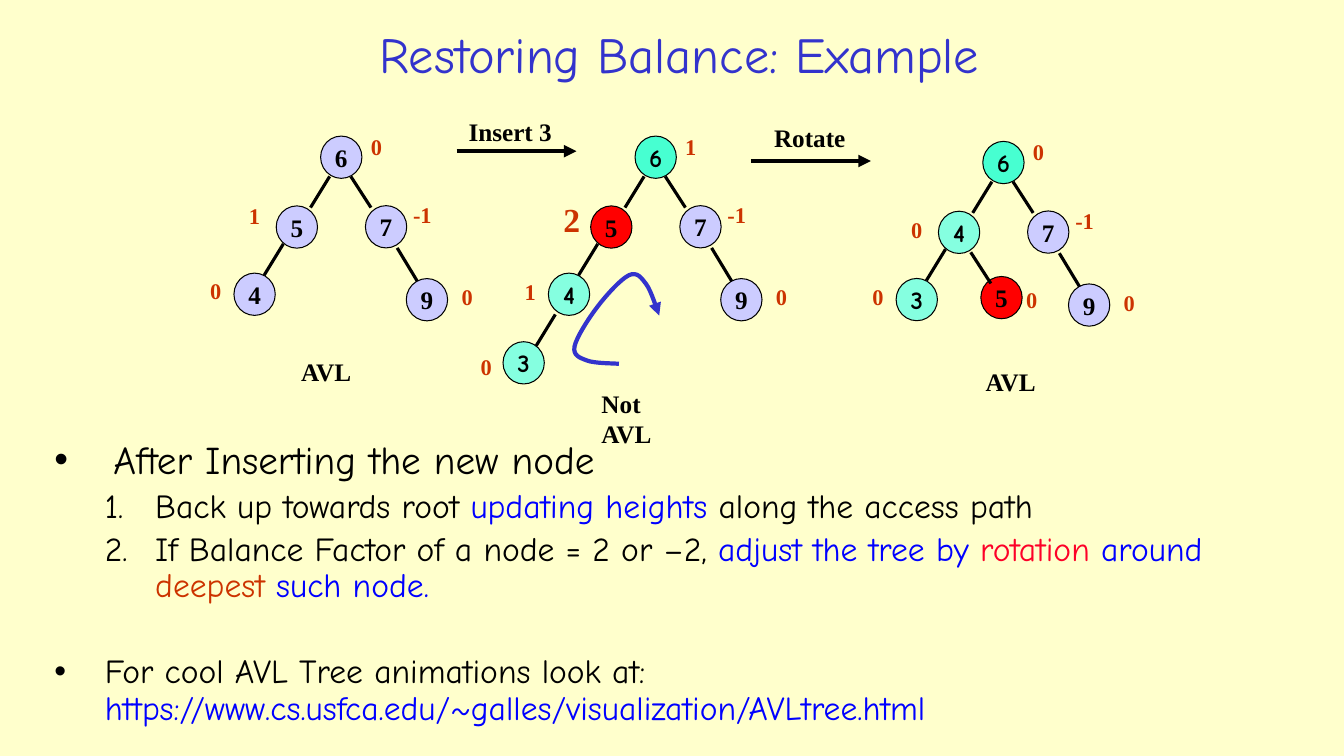
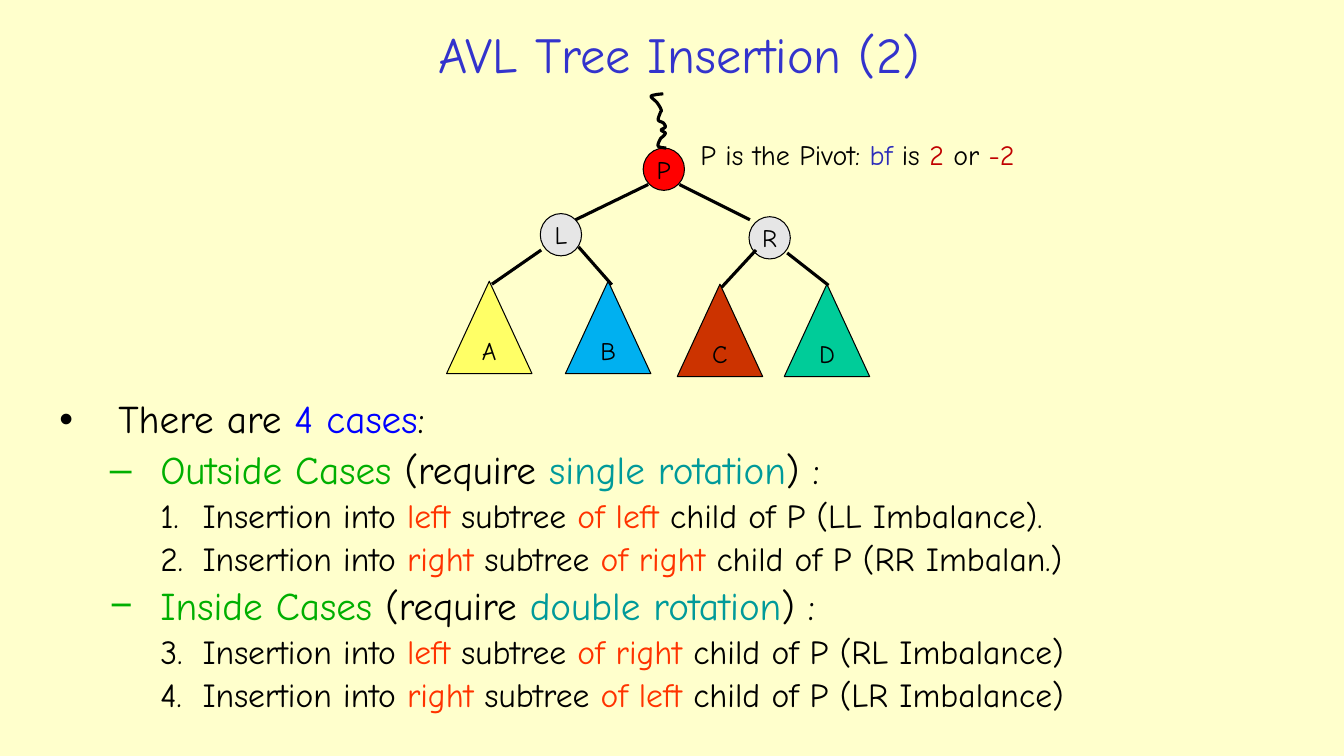
from pptx import Presentation
from pptx.dml.color import RGBColor
from pptx.enum import shapes, text
from pptx.oxml.ns import qn
from pptx.util import Pt
from lxml import etree

# Shared look
COMIC, TIMES = "Comic Neue", "Times New Roman"
CREAM = RGBColor(0xFF, 0xFF, 0xCC)
INDIGO = RGBColor(0x33, 0x33, 0xCC)
BLACK = RGBColor(0, 0, 0)
BLUE = RGBColor(0, 0, 0xFF)
CRIMSON = RGBColor(0xFD, 0x01, 0x28)
RUST = RGBColor(0xCC, 0x33, 0)
ORANGE = RGBColor(0xFF, 0x33, 0)
GREEN = RGBColor(0, 0xAF, 0)
TEAL = RGBColor(0, 0x9A, 0x9A)
NAVY = RGBColor(0x2D, 0x2D, 0xB9)
MAROON = RGBColor(0xC0, 0, 0)
RED = RGBColor(0xFF, 0, 0)
LAVENDER = RGBColor(0xCC, 0xCC, 0xFF)
MINT = RGBColor(0x47, 0xFF, 0xD1)
AQUA = RGBColor(0x85, 0xFF, 0xE0)
GREY = RGBColor(0xE6, 0xE6, 0xE6)
YELLOW = RGBColor(0xFF, 0xFF, 0x66)
SKY = RGBColor(0, 0xB0, 0xF0)
JADE = RGBColor(0, 0xCC, 0x99)

TITLE_BOX = (141.8, 10.8, 686.9, 54.7)
NODE_SIZE = (29.5, 30.2)
TRIANGLE_SIZE = (61, 66)

# Tree geometry, measured from the root's top left corner:
# slot: (node offset, balance factor offset, edge from the parent)
SLOTS = {
    "root": ((0, 0), (28.8, -5.8), None),
    "L": ((-31.7, 49.9), (-58.3, 43.6), (6.5, 28.8, -7.2, 51.1)),
    "R": ((32, 49.7), (59, 43.2), (21.6, 28.8, 36, 51.1)),
    "LL": ((-61.9, 97.9), (-86, 97.9), (-26.6, 77, -40.3, 99.4)),
    "LR": ((-1.4, 96.5), (23.8, 100), (-8.6, 79.2, 5.8, 101.5)),
    "RR": ((61.2, 101.8), (93.6, 101.8), (54.7, 79.9, 69.1, 103.7)),
    "LLL": ((-94.3, 146.9), (-117.4, 151.2), (-56.9, 127.4, -70.6, 149.8)),
}

# Root corner, then nodes: slot, key, balance factor, fill, font, label drop
TREES = [
    ((229, 97.2), [
        ("root", "6", "0", LAVENDER, TIMES, 0),
        ("L", "5", "1", LAVENDER, TIMES, 0),
        ("LL", "4", "0", LAVENDER, TIMES, -1),
        ("R", "7", "-1", LAVENDER, TIMES, 0),
        ("RR", "9", "0", LAVENDER, TIMES, 0)]),
    ((453.6, 97.2), [
        ("root", "6", "1", MINT, COMIC, 0),
        ("L", "5", "2", RED, TIMES, -2),
        ("LL", "4", "1", AQUA, COMIC, 0),
        ("R", "7", "-1", LAVENDER, TIMES, 0),
        ("RR", "9", "0", LAVENDER, TIMES, 0),
        ("LLL", "3", "0", AQUA, COMIC, 0)]),
    ((702, 101), [
        ("root", "6", "0", MINT, COMIC, 0),
        ("L", "4", "0", AQUA, COMIC, 6),
        ("LL", "3", "0", AQUA, COMIC, 0),
        ("R", "7", "-1", LAVENDER, TIMES, 0),
        ("RR", "9", "0", LAVENDER, TIMES, 0),
        ("LR", "5", "0", RED, TIMES, 0)]),
]
CAPTIONS = [
    ("Insert 3", 327.6, 79.9, 74.9), ("Rotate", 545.8, 83.5, 66.2),
    ("AVL", 208.1, 251.3, 50.4), ("Not AVL", 422.6, 273.6, 80),
    ("AVL", 697, 257.8, 50.4),
]
STEP_ARROWS = [(326.2, 108, 411.8, 108), (536.4, 115, 622.1, 115)]
ROTATION_ARC = [(442.1, 259.9), (419.5, 257.6), (410.4, 247.7), (426.6, 219.4),
                (449.3, 196.6), (461.7, 203.1), (470.9, 225.4)]

# Pivot diagram
PIVOT_NODES = [("P", 459.4, 105.8, RED), ("L", 385.9, 152.6, GREY),
               ("R", 535, 154.8, GREY)]
PIVOT_EDGES = [
    (463, 131.8, 411.1, 157), (485.3, 131.8, 535.7, 157),
    (562.3, 180.7, 591.8, 203.8), (386.6, 178.6, 351.4, 203),
    (413.3, 176.4, 437, 203.4), (540, 178.6, 515.5, 205.2),
]
SUBTREES = [("A", 319, 200.9, YELLOW), ("B", 403.9, 200.9, SKY),
            ("C", 483.8, 203, RUST), ("D", 560.2, 203, JADE)]
SQUIGGLE = [(473.8, 67), (468, 67.7), (465.1, 69.1), (469.4, 73.4),
            (472.3, 78.5), (471.6, 80.6), (470.2, 85.7), (473.8, 87.8),
            (475.2, 90.7), (472.3, 92.9), (475.2, 95), (473.8, 97.2),
            (471.6, 99.4), (470.2, 104.4), (475.9, 105.8)]
PIVOT_NOTE = [("P is the Pivot: ", BLACK), ("bf", NAVY), (" is ", BLACK),
              ("2", MAROON), (" or ", BLACK), ("-2", MAROON)]

# List styles: level, left margin, hanging indent, size
HEAD = (0, 42, 42, 28)
LINK = (0, 36, 36, 24)
STEP = (1, 72, 36, 24)
GROUP = (1, 72, 36, 28)
CASE = (2, 102.2, 30.2, 24)


def case(first_side, second_side, ending):
    return [("Insertion into ", BLACK), (first_side + " ", ORANGE),
            ("subtree ", BLACK), (f"of {second_side} ", ORANGE),
            ("child of P " + ending, BLACK)]


def group(name, rotation):
    return [(name + " ", GREEN), ("(require ", BLACK),
            (rotation, TEAL), (") :", BLACK)]


# List items: style, bullet character or first number, space before, runs
BALANCE_LIST = [
    (HEAD, "•", 0, [("After Inserting the new node", BLACK)]),
    (STEP, 1, 4.8, [("Back up towards root ", BLACK),
                    ("updating heights ", BLUE),
                    ("along the access path", BLACK)]),
    (STEP, 1, 4.8, [("If Balance Factor of a node = 2 or –2, ", BLACK),
                    ("adjust the tree by ", BLUE), ("rotation ", CRIMSON),
                    ("around ", BLUE), ("deepest", RUST),
                    (" such node.", BLUE)]),
    (LINK, "•", 35.5, [
        ("For cool AVL Tree animations look at:", BLACK),
        (" https://www.cs.usfca.edu/~galles/visualization/AVLtree.html", BLUE)]),
]
CASES_LIST = [
    (HEAD, "•", 0, [("There are ", BLACK), ("4 cases", BLUE), (":", BLACK)]),
    (GROUP, "–", 5.6, group("Outside Cases", "single rotation")),
    (CASE, 1, 4.8, case("left", "left", "(LL Imbalance).")),
    (CASE, 1, 4.8, case("right", "right", "(RR Imbalan.)")),
    (GROUP, "−", 5.6, group("Inside Cases", "double rotation")),
    (CASE, 3, 4.8, case("left", "right", "(RL Imbalance)")),
    (CASE, 3, 4.8, case("right", "left", "(LR Imbalance)")),
]


# Text
def add_runs(paragraph, runs, size, font=COMIC, bold=False):
    for words, colour in runs:
        run = paragraph.add_run()
        run.text = words
        run.font.size = Pt(size)
        run.font.name = font
        run.font.bold = bold
        run.font.color.rgb = colour


def add_label(slide, left, top, width, runs, size, font=TIMES, bold=True):
    box = slide.shapes.add_textbox(Pt(left), Pt(top), Pt(width), Pt(size * 1.6))
    box.text_frame.word_wrap = False
    add_runs(box.text_frame.paragraphs[0], runs, size, font, bold)


def place(shape, left, top, width, height):
    shape.left, shape.top = Pt(left), Pt(top)
    shape.width, shape.height = Pt(width), Pt(height)


def add_slide(presentation, title, items, list_box):
    slide = presentation.slides.add_slide(presentation.slide_layouts[1])
    heading, body = slide.shapes.title, slide.placeholders[1]
    place(heading, *TITLE_BOX)
    place(body, *list_box)
    for shape, anchor in ((heading, text.MSO_ANCHOR.MIDDLE),
                          (body, text.MSO_ANCHOR.TOP)):
        shape.text_frame.auto_size = text.MSO_AUTO_SIZE.NONE
        shape.text_frame.vertical_anchor = anchor
    paragraph = heading.text_frame.paragraphs[0]
    paragraph.alignment = text.PP_ALIGN.CENTER
    add_runs(paragraph, [(title, INDIGO)], 36)

    frame = body.text_frame
    for index, (style, bullet, gap, runs) in enumerate(items):
        level, margin, hanging, size = style
        paragraph = frame.add_paragraph() if index else frame.paragraphs[0]
        paragraph.level = level
        properties = paragraph._p.get_or_add_pPr()
        properties.set("marL", str(Pt(margin)))
        properties.set("indent", str(-Pt(hanging)))
        if isinstance(bullet, int):
            etree.SubElement(properties, qn("a:buAutoNum"),
                             type="arabicPeriod", startAt=str(bullet))
        else:
            etree.SubElement(properties, qn("a:buChar"), char=bullet)
        paragraph.line_spacing = 0.9
        paragraph.space_before = Pt(gap)
        add_runs(paragraph, runs, size)
    return slide


# Shapes and lines
def add_figure(slide, kind, corner, size, fill, letter, font=COMIC, bold=False):
    shape = slide.shapes.add_shape(kind, *map(Pt, corner), *map(Pt, size))
    shape.shadow.inherit = False
    shape.fill.solid()
    shape.fill.fore_color.rgb = fill
    shape.line.color.rgb = BLACK
    shape.line.width = Pt(0.75)
    frame = shape.text_frame
    frame.word_wrap = False
    frame.margin_left = frame.margin_right = 0
    frame.margin_top = frame.margin_bottom = 0
    frame.vertical_anchor = text.MSO_ANCHOR.MIDDLE
    frame.paragraphs[0].alignment = text.PP_ALIGN.CENTER
    add_runs(frame.paragraphs[0], [(letter, BLACK)], 18, font, bold)


def style_line(shape, width, colour, arrow):
    shape.line.color.rgb = colour
    shape.line.width = Pt(width)
    properties = shape._element.spPr
    if arrow:
        etree.SubElement(properties.find(qn("a:ln")), qn("a:tailEnd"),
                         type="triangle")
    etree.SubElement(properties, qn("a:effectLst"))


def add_line(slide, ends, width=2.25, arrow=False):
    line = slide.shapes.add_connector(shapes.MSO_CONNECTOR.STRAIGHT,
                                      *map(Pt, ends))
    style_line(line, width, BLACK, arrow)


def smooth_points(knots, steps=8):
    """Points of a Catmull-Rom curve through the knots."""
    padded = [knots[0], *knots, knots[-1]]
    points = [knots[0]]
    for a, b, c, d in zip(padded, padded[1:], padded[2:], padded[3:]):
        for step in range(1, steps + 1):
            t = step / steps
            points.append(tuple(
                q + ((r - p) * t + (2 * p - 5 * q + 4 * r - s) * t ** 2
                     + (3 * q - p - 3 * r + s) * t ** 3) / 2
                for p, q, r, s in zip(a, b, c, d)))
    return points


def add_curve(slide, knots, width, colour, arrow=False):
    start, *rest = [(Pt(x), Pt(y)) for x, y in smooth_points(knots)]
    builder = slide.shapes.build_freeform(*start)
    builder.add_line_segments(rest, close=False)
    curve = builder.convert_to_shape()
    curve.fill.background()
    style_line(curve, width, colour, arrow)


def add_tree(slide, root, nodes):
    x, y = root
    for slot, key, factor, fill, font, drop in nodes:
        (node_x, node_y), (label_x, label_y), edge = SLOTS[slot]
        add_figure(slide, shapes.MSO_SHAPE.OVAL, (x + node_x, y + node_y),
                   NODE_SIZE, fill, key, font, True)
        if edge:
            x1, y1, x2, y2 = edge
            add_line(slide, (x + x1, y + y1, x + x2, y + y2))
        size = 24 if abs(int(factor)) > 1 else 16
        width = 14.4 + size * (0.83 if factor.startswith("-") else 0.5)
        add_label(slide, x + label_x, y + label_y + drop, width,
                  [(factor, RUST)], size)


def main():
    presentation = Presentation()
    presentation.slide_width, presentation.slide_height = Pt(960), Pt(540)
    background = presentation.slide_master.background.fill
    background.solid()
    background.fore_color.rgb = CREAM

    # Slide 1: insertion and rotation
    slide = add_slide(presentation, "Restoring Balance: Example", BALANCE_LIST,
                      (31.7, 311, 903.6, 179.3))
    for root, nodes in TREES:
        add_tree(slide, root, nodes)
    for words, left, top, width in CAPTIONS:
        add_label(slide, left, top, width, [(words, BLACK)], 18)
    for ends in STEP_ARROWS:
        add_line(slide, ends, 3, arrow=True)
    add_curve(slide, ROTATION_ARC, 3, INDIGO, arrow=True)

    # Slide 2: pivot and its subtrees
    slide = add_slide(presentation, "AVL Tree Insertion (2)", CASES_LIST,
                      (35.3, 282.2, 892.1, 227.5))
    for letter, left, top, fill in PIVOT_NODES:
        add_figure(slide, shapes.MSO_SHAPE.OVAL, (left, top), NODE_SIZE,
                   fill, letter)
    for letter, left, top, fill in SUBTREES:
        add_figure(slide, shapes.MSO_SHAPE.ISOSCELES_TRIANGLE, (left, top),
                   TRIANGLE_SIZE, fill, letter)
    for ends in PIVOT_EDGES:
        add_line(slide, ends)
    add_curve(slide, SQUIGGLE, 2.25, BLACK)
    add_label(slide, 493.2, 94.3, 239, PIVOT_NOTE, 20, COMIC, False)

    presentation.save("out.pptx")


if __name__ == "__main__":
    main()
